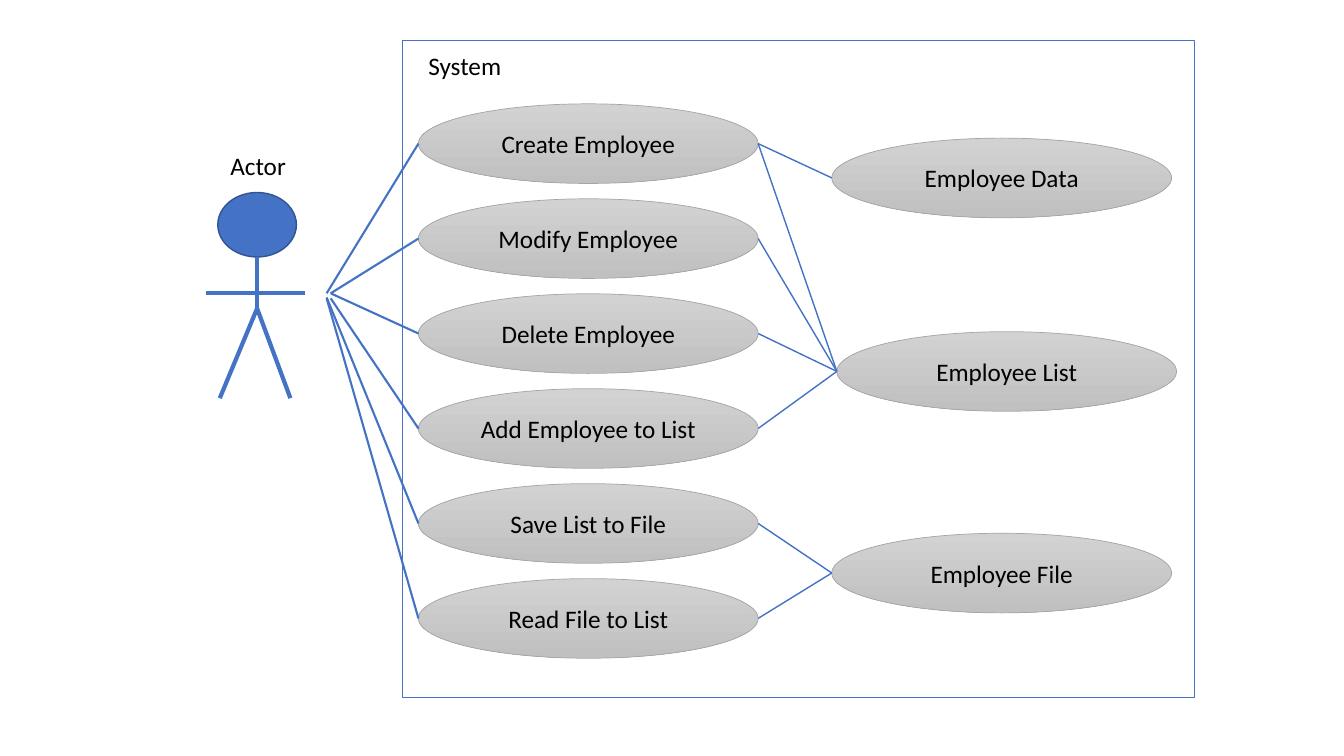
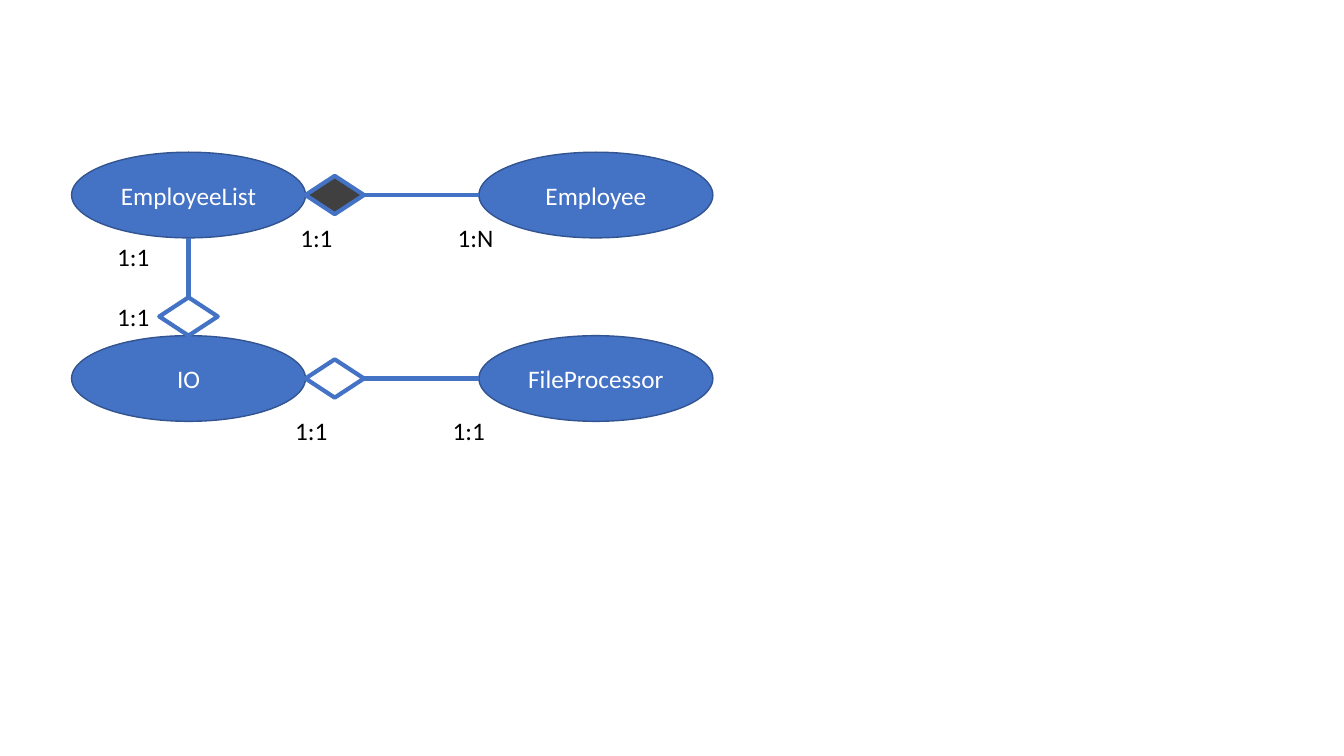
import dataclasses

import pptx
import pptx.dml.color
import pptx.enum.shapes
import pptx.enum.text
import pptx.oxml
import pptx.presentation
import pptx.shapes.autoshape
import pptx.slide
import pptx.util

Inches = pptx.util.Inches
RGBColor = pptx.dml.color.RGBColor
Shape = pptx.enum.shapes.MSO_SHAPE
Align = pptx.enum.text.PP_ALIGN

BLUE = RGBColor(0x44, 0x72, 0xC4)
DARK_BLUE = RGBColor(0x32, 0x54, 0x91)
WHITE = RGBColor(0xFF, 0xFF, 0xFF)
BLACK = RGBColor(0x00, 0x00, 0x00)
CHARCOAL = RGBColor(0x40, 0x40, 0x40)
GREY = RGBColor(0xA5, 0xA5, 0xA5)
GREY_TOP = RGBColor(0xD2, 0xD2, 0xD2)
GREY_BOTTOM = RGBColor(0xC0, 0xC0, 0xC0)
FONT = "Calibri"
FONT_SIZE = 18
LABEL_HEIGHT = 0.4

Point = tuple[float, float]


@dataclasses.dataclass(frozen=True)
class Area:
    left: float
    top: float
    width: float
    height: float

    @property
    def center(self) -> Point:
        return self.left + self.width / 2, self.top + self.height / 2

    @property
    def west(self) -> Point:
        return self.left, self.center[1]

    @property
    def east(self) -> Point:
        return self.left + self.width, self.center[1]

    @property
    def north(self) -> Point:
        return self.center[0], self.top

    @property
    def south(self) -> Point:
        return self.center[0], self.top + self.height


@dataclasses.dataclass(frozen=True)
class Node:
    text: str
    area: Area


@dataclasses.dataclass(frozen=True)
class Label:
    text: str
    left: float
    top: float
    width: float
    align: Align = Align.LEFT


def write(box: pptx.shapes.autoshape.Shape, text: str, color: RGBColor, align: Align) -> None:
    box.text_frame.word_wrap = True
    para = box.text_frame.paragraphs[0]
    para.text = text
    para.alignment = align
    para.font.name = FONT
    para.font.size = pptx.util.Pt(FONT_SIZE)
    para.font.color.rgb = color


def add_outline(
    page: pptx.slide.Slide, kind: Shape, area: Area, fill: RGBColor, line: RGBColor, width: float
) -> pptx.shapes.autoshape.Shape:
    box = page.shapes.add_shape(
        kind, Inches(area.left), Inches(area.top), Inches(area.width), Inches(area.height)
    )
    box.shadow.inherit = False
    box.fill.solid()
    box.fill.fore_color.rgb = fill
    box.line.color.rgb = line
    box.line.width = pptx.util.Pt(width)
    return box


def add_use_case(page: pptx.slide.Slide, node: Node) -> None:
    box = add_outline(page, Shape.OVAL, node.area, GREY_TOP, GREY, 0.5)
    box.fill.gradient()
    box.fill.gradient_angle = 270
    for stop, color in zip(box.fill.gradient_stops, (GREY_TOP, GREY_BOTTOM)):
        stop.color.rgb = color
    write(box, node.text, BLACK, Align.CENTER)


def add_class(page: pptx.slide.Slide, node: Node) -> None:
    box = add_outline(page, Shape.OVAL, node.area, BLUE, DARK_BLUE, 1)
    write(box, node.text, WHITE, Align.CENTER)


def add_label(page: pptx.slide.Slide, label: Label) -> None:
    box = page.shapes.add_textbox(
        Inches(label.left), Inches(label.top), Inches(label.width), Inches(LABEL_HEIGHT)
    )
    write(box, label.text, BLACK, label.align)


def add_line(page: pptx.slide.Slide, start: Point, end: Point, width: float) -> None:
    line = page.shapes.add_connector(
        pptx.enum.shapes.MSO_CONNECTOR.STRAIGHT, *(Inches(value) for value in start + end)
    )
    line.line.color.rgb = BLUE
    line.line.width = pptx.util.Pt(width)
    line._element.spPr.append(pptx.oxml.parse_xml(
        '<a:effectLst xmlns:a="http://schemas.openxmlformats.org/drawingml/2006/main"/>'
    ))


def add_actor(page: pptx.slide.Slide) -> None:
    head = Area(2.16, 1.91, 0.78, 0.64)
    hip = (2.55, 3.06)
    add_outline(page, Shape.OVAL, head, BLUE, DARK_BLUE, 1)
    limbs = (
        ((2.04, 2.91), (3.03, 2.91)),
        (head.south, hip),
        (hip, (2.18, 3.95)),
        (hip, (2.88, 3.95)),
    )
    for start, end in limbs:
        add_line(page, start, end, 3)
    add_label(page, Label("Actor", 2.06, 1.44, 1, Align.CENTER))


def build_use_cases(page: pptx.slide.Slide) -> None:
    add_outline(page, Shape.RECTANGLE, Area(3.99, 0.4, 7.86, 6.52), WHITE, BLUE, 1)
    add_label(page, Label("System", 4.15, 0.45, 1.97))

    width, height, pitch = 3.37, 0.79, 0.942
    names = ("Create Employee", "Modify Employee", "Delete Employee",
             "Add Employee to List", "Save List to File", "Read File to List")
    actions = [
        Node(name, Area(4.15, 1.03 + row * pitch, width, height))
        for row, name in enumerate(names)
    ]
    stores = (
        Node("Employee Data", Area(8.25, 1.37, width, height)),
        Node("Employee List", Area(8.3, 3.29, width, height)),
        Node("Employee File", Area(8.25, 5.29, width, height)),
    )
    for node in (*actions, *stores):
        add_use_case(page, node)

    reaches = ((3.24, 2.91), (3.28, 2.91), (3.28, 2.91),
               (3.28, 2.96), (3.24, 2.95), (3.24, 2.96))
    for reach, action in zip(reaches, actions):
        add_line(page, reach, action.area.west, 1.5)

    uses = ((0, 0), (0, 1), (1, 1), (2, 1), (3, 1), (4, 2), (5, 2))
    for action, store in uses:
        add_line(page, actions[action].area.east, stores[store].area.west, 1)
    add_actor(page)


def build_classes(page: pptx.slide.Slide) -> None:
    left, right, upper, lower = 0.71, 4.75, 1.51, 3.33
    width, height = 2.32, 0.85
    employee_list = Node("EmployeeList", Area(left, upper, width, height))
    employee = Node("Employee", Area(right, upper, width, height))
    io_class = Node("IO", Area(left, lower, width, height))
    processor = Node("FileProcessor", Area(right, lower, width, height))
    for node in (employee_list, employee, io_class, processor):
        add_class(page, node)

    diamond_width, diamond_height = 0.58, 0.38
    for whole, part, fill in ((employee_list, employee, CHARCOAL), (io_class, processor, WHITE)):
        x, y = whole.area.east
        diamond = Area(x, y - diamond_height / 2, diamond_width, diamond_height)
        add_line(page, diamond.east, part.area.west, 3)
        add_outline(page, Shape.FLOWCHART_DECISION, diamond, fill, BLUE, 3)

    x, y = io_class.area.north
    diamond = Area(x - diamond_width / 2, y - diamond_height, diamond_width, diamond_height)
    add_line(page, diamond.north, employee_list.area.south, 3)
    add_outline(page, Shape.FLOWCHART_DECISION, diamond, WHITE, BLUE, 3)

    multiplicities = (
        Label("1:1", 2.88, 2.16, 0.7),
        Label("1:N", 4.44, 2.16, 0.7),
        Label("1:1", 2.83, 4.07, 0.7),
        Label("1:1", 4.39, 4.07, 0.7),
        Label("1:1", 0.88, 2.34, 0.7, Align.RIGHT),
        Label("1:1", 0.88, 2.94, 0.7, Align.RIGHT),
    )
    for label in multiplicities:
        add_label(page, label)


def main() -> None:
    """Build the use case and class diagrams of the employee system."""
    deck = pptx.Presentation()
    deck.slide_width = Inches(13.33)
    deck.slide_height = Inches(7.5)
    blank = deck.slide_layouts[6]
    for build in (build_use_cases, build_classes):
        build(deck.slides.add_slide(blank))
    deck.save("out.pptx")


main()
